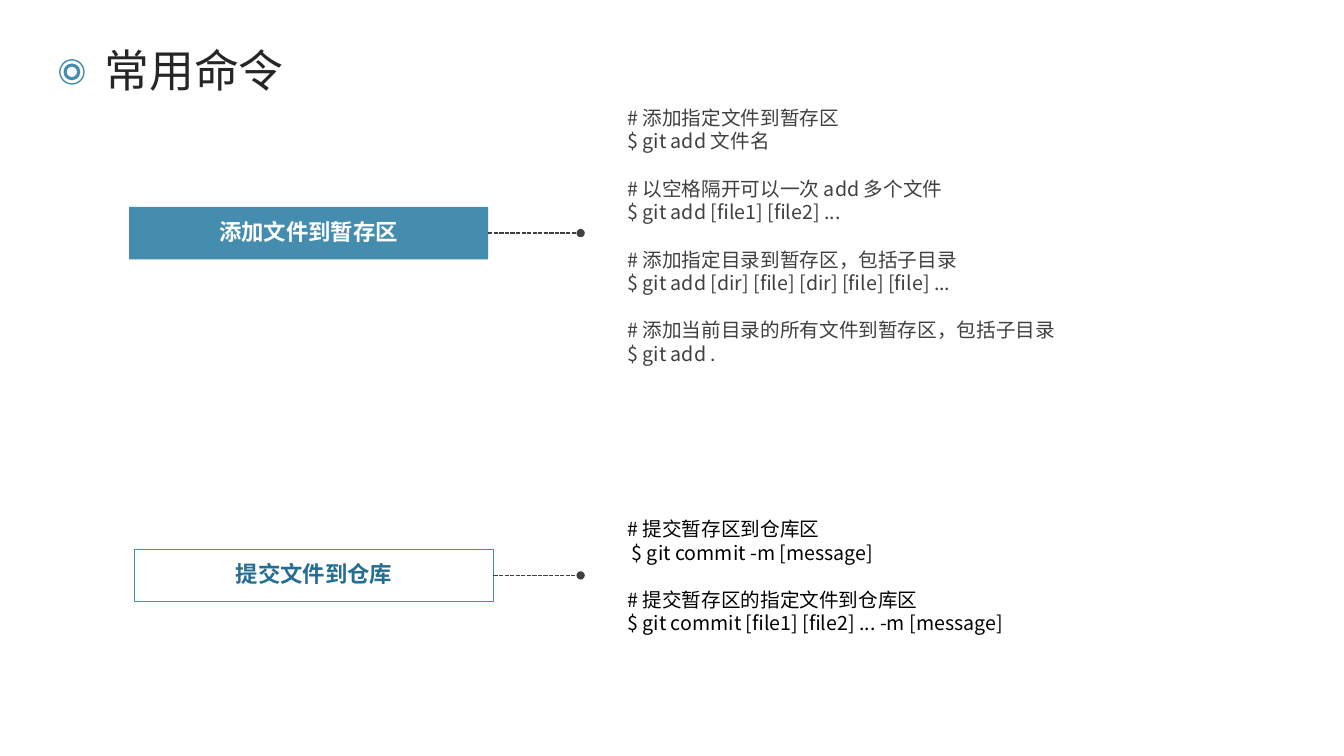
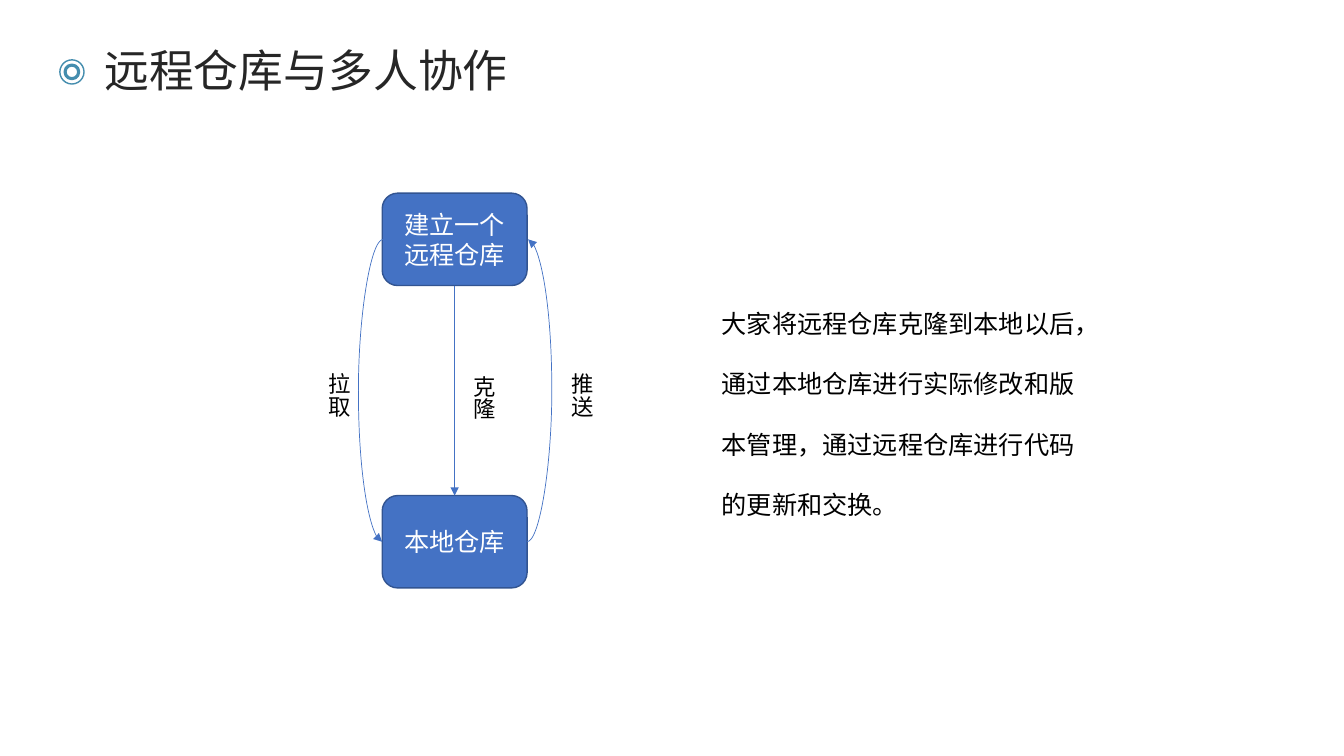
from lxml.etree import SubElement
from pptx import Presentation
from pptx.dml.color import RGBColor
from pptx.enum.dml import MSO_LINE
from pptx.enum.shapes import MSO_CONNECTOR, MSO_SHAPE
from pptx.enum.text import MSO_ANCHOR, MSO_AUTO_SIZE, PP_ALIGN
from pptx.oxml.ns import qn
from pptx.util import Pt

EMU_PER_PX = 9525
FONT = "Noto Sans CJK SC"
TEAL = RGBColor(0x44, 0x8D, 0xAE)
DARK_TEAL = RGBColor(0x25, 0x6E, 0x91)
BLUE = RGBColor(0x44, 0x72, 0xC4)
DARK_BLUE = RGBColor(0x32, 0x54, 0x91)
TITLE_GRAY = RGBColor(0x26, 0x26, 0x26)
GRAY = RGBColor(0x40, 0x40, 0x40)
BLACK = RGBColor(0, 0, 0)
WHITE = RGBColor(0xFF, 0xFF, 0xFF)

RIGHT, TOP, BOTTOM = 3, 0, 2
LEADER_END = 553
BULGE = 24

ADD_COMMANDS = [
    ["# 添加指定文件到暂存区", "$ git add 文件名"],
    ["# 以空格隔开可以一次 add 多个文件", "$ git add [file1] [file2] ..."],
    ["# 添加指定目录到暂存区，包括子目录", "$ git add [dir] [file] [dir] [file] [file] ..."],
    ["# 添加当前目录的所有文件到暂存区，包括子目录", "$ git add ."],
]
COMMIT_COMMANDS = [
    ["# 提交暂存区到仓库区", " $ git commit -m [message]"],
    ["# 提交暂存区的指定文件到仓库区", "$ git commit [file1] [file2] ... -m [message]"],
]
SUMMARY = (
    "大家将远程仓库克隆到本地以后，通过本地仓库进行实际修改和版本管理，"
    "通过远程仓库进行代码的更新和交换。"
)


def px(*lengths):
    return [length * EMU_PER_PX for length in lengths]


def style_text(frame, size, color, bold=False):
    """Give every run the deck's font, for Latin and East Asian letters alike."""
    for para in frame.paragraphs:
        for span in para.runs:
            span.font.name = FONT
            span.font.size = Pt(size)
            span.font.bold = bold
            span.font.color.rgb = color
            SubElement(span.font._element, qn("a:ea"), typeface=FONT)


def add_text(page, bounds, text, size, color, wrap=True):
    box = page.shapes.add_textbox(*px(*bounds))
    frame = box.text_frame
    frame.word_wrap = wrap
    frame.auto_size = MSO_AUTO_SIZE.SHAPE_TO_FIT_TEXT
    frame.text = text
    style_text(frame, size, color)
    return frame


def add_commands(page, bounds, groups, color, wrap=True):
    """List the commands, with one line's height between groups."""
    text = "\n".join(line for group in groups for line in group)
    frame = add_text(page, bounds, text, 14, color, wrap)
    starts = [sum(map(len, groups[:index])) for index in range(1, len(groups))]
    for start in starts:
        frame.paragraphs[start].space_before = Pt(17)
    return frame


def add_vertical_label(page, left, top, text):
    frame = add_text(page, (left, top, 45, 53), text, 16, BLACK, wrap=False)
    frame._txBody.bodyPr.set("vert", "eaVert")


def add_box(shapes, kind, bounds, fill, line=None, line_width=1):
    box = shapes.add_shape(kind, *px(*bounds))
    box.shadow.inherit = False
    box.fill.solid()
    box.fill.fore_color.rgb = fill
    if line is None:
        box.line.fill.background()
    else:
        box.line.color.rgb = line
        box.line.width = Pt(line_width)
    return box


def set_box_text(box, text, size, color, bold=False):
    frame = box.text_frame
    frame.word_wrap = True
    frame.vertical_anchor = MSO_ANCHOR.MIDDLE
    frame.text = text
    frame.paragraphs[0].alignment = PP_ALIGN.CENTER
    style_text(frame, size, color, bold)
    return frame


def add_line(page, kind, ends, color, width, tip):
    line = page.shapes.add_connector(kind, *px(*ends))
    line.line.color.rgb = color
    line.line.width = Pt(width)
    SubElement(line.line._get_or_add_ln(), qn("a:tailEnd"), type=tip)
    SubElement(line._element.spPr, qn("a:effectLst"))
    return line


def add_curve(page, ends):
    """Draw an arrow that bulges sideways; its ends are one px apart in x."""
    curve = add_line(page, MSO_CONNECTOR.CURVE, ends, BLUE, 0.5, "triangle")
    guides = curve._element.spPr.prstGeom.get_or_add_avLst()
    SubElement(guides, qn("a:gd"), name="adj1", fmla=f"val {BULGE * 100000}")


def add_step(page, left, top, text, fill, color, line=None):
    """Draw a step's label and the dotted leader towards its commands."""
    width, height = 342, 50
    label = add_box(page.shapes, MSO_SHAPE.RECTANGLE, (left, top, width, height), fill, line, 0.75)
    frame = set_box_text(label, text, 16, color, bold=True)
    frame.margin_left, frame.margin_top, frame.margin_right, frame.margin_bottom = px(10, 10, 10, 10)
    frame.paragraphs[0].line_spacing = 0.9
    frame.paragraphs[0].space_before = Pt(10)
    middle = top + height // 2
    ends = (left + width, middle, LEADER_END, middle)
    leader = add_line(page, MSO_CONNECTOR.STRAIGHT, ends, GRAY, 1, "oval")
    leader.line.dash_style = MSO_LINE.SQUARE_DOT
    leader.begin_connect(label, RIGHT)


def add_repository(page, bounds, text):
    box = add_box(page.shapes, MSO_SHAPE.ROUNDED_RECTANGLE, bounds, BLUE, DARK_BLUE)
    set_box_text(box, text, 18, WHITE)
    return box


def add_page(deck, title, title_width):
    page = deck.slides.add_slide(deck.slide_layouts[6])
    add_text(page, (90, 36, title_width, 61), title, 32, TITLE_GRAY)
    rings = page.shapes.add_group_shape().shapes
    for start, size, line_width in ((57, 23, 1), (62, 13, 2.25)):
        add_box(rings, MSO_SHAPE.OVAL, (start, start, size, size), WHITE, TEAL, line_width)
    return page


def build_commands(deck):
    page = add_page(deck, "常用命令", 320)
    add_step(page, 123, 197, "添加文件到暂存区", TEAL, WHITE)
    add_step(page, 128, 523, "提交文件到仓库", WHITE, DARK_TEAL, TEAL)
    add_commands(page, (588, 96, 605, 258), ADD_COMMANDS, GRAY)
    commits = add_commands(page, (588, 487, 401, 123), COMMIT_COMMANDS, BLACK, wrap=False)
    commits.vertical_anchor = MSO_ANCHOR.MIDDLE


def build_collaboration(deck):
    page = add_page(deck, "远程仓库与多人协作", 410)
    left, width, height = 364, 138, 88
    remote_top, local_top = 184, 472
    remote = add_repository(page, (left, remote_top, width, height), "建立一个远程仓库")
    local = add_repository(page, (left, local_top, width, height), "本地仓库")

    center, right = left + width // 2, left + width
    remote_middle, local_middle = remote_top + height // 2, local_top + height // 2
    ends = (center, remote_top + height, center, local_top)
    clone = add_line(page, MSO_CONNECTOR.STRAIGHT, ends, BLUE, 0.5, "triangle")
    clone.begin_connect(remote, BOTTOM)
    clone.end_connect(local, TOP)
    add_curve(page, (right, local_middle, right + 1, remote_middle))
    add_curve(page, (left + 1, remote_middle, left, local_middle))

    add_vertical_label(page, 433, 348, "克隆")
    add_vertical_label(page, 527, 346, "推送")
    add_vertical_label(page, 295, 346, "拉取")
    summary = add_text(page, (678, 260, 366, 233), SUMMARY, 18, BLACK)
    summary.paragraphs[0].line_spacing = 2.0


def main():
    deck = Presentation()
    deck.slide_width, deck.slide_height = px(1280, 720)
    build_commands(deck)
    build_collaboration(deck)
    deck.save("out.pptx")


if __name__ == "__main__":
    main()
